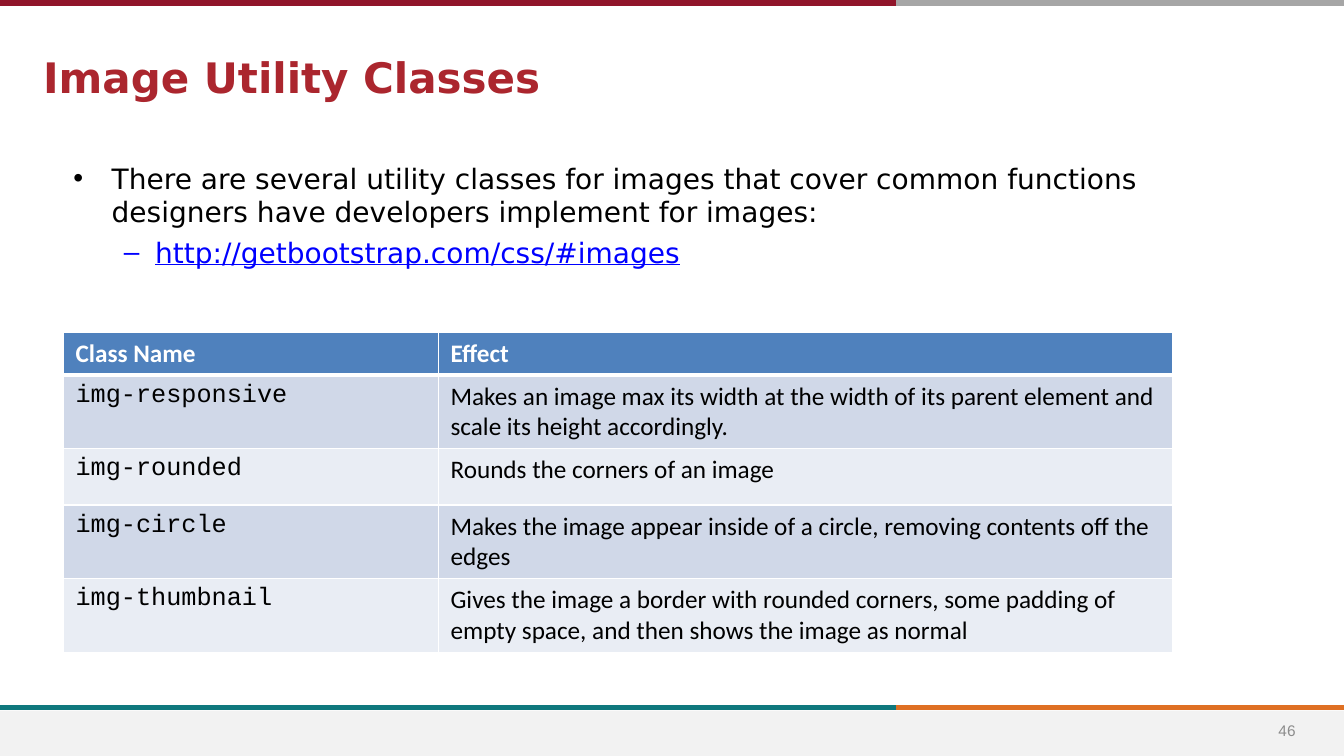
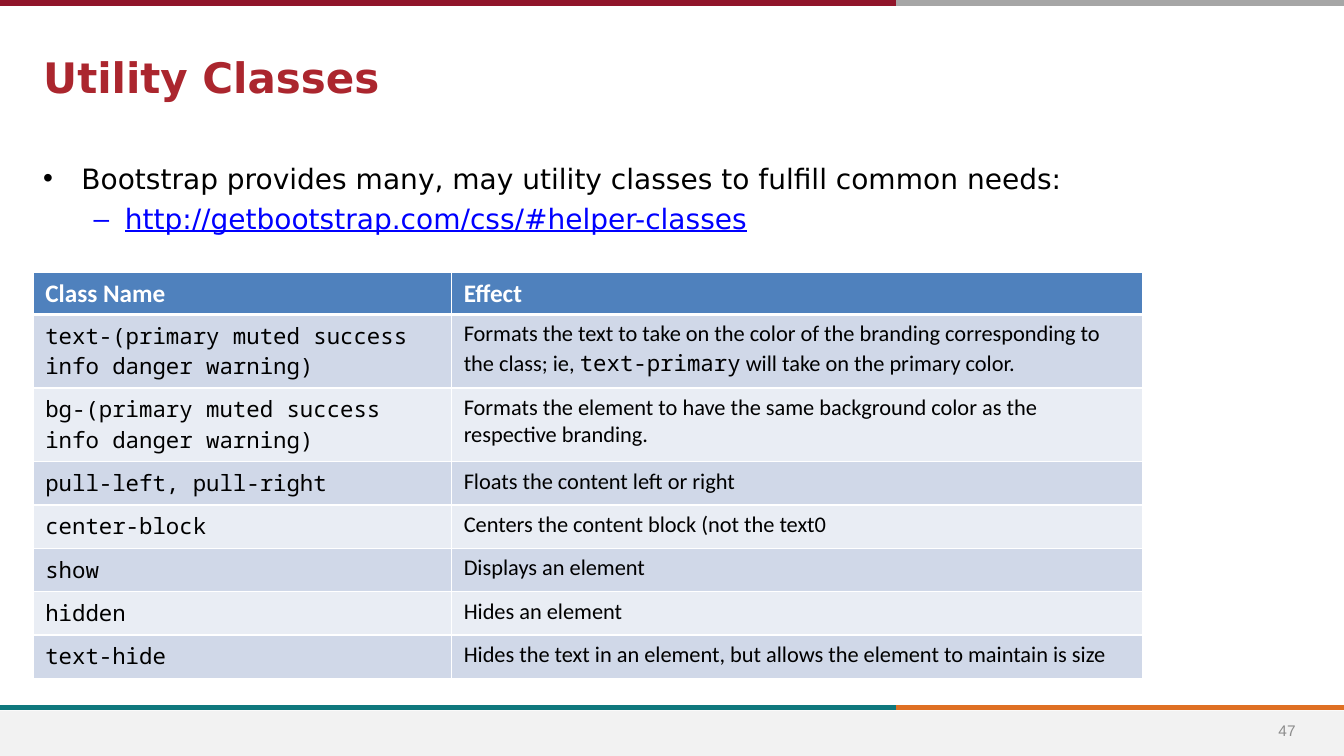
from pptx import Presentation
from pptx.dml.color import RGBColor
from pptx.enum.shapes import MSO_CONNECTOR, MSO_SHAPE
from pptx.enum.text import MSO_ANCHOR, PP_ALIGN
from pptx.oxml.ns import qn
from pptx.util import Inches, Pt
from lxml.etree import SubElement

WIDTH, HEIGHT = 13.33, 7.5
BAND_SPLIT = 8.89
FOOTER_TOP = 7.05

WHITE = RGBColor(0xFF, 0xFF, 0xFF)
BLACK = RGBColor(0x00, 0x00, 0x00)
CRIMSON = RGBColor(0x90, 0x15, 0x2A)
TITLE_RED = RGBColor(0xAB, 0x26, 0x2E)
TEAL = RGBColor(0x0F, 0x78, 0x7D)
ORANGE = RGBColor(0xDF, 0x70, 0x23)
BAND_GRAY = RGBColor(0xA6, 0xA6, 0xA6)
FOOTER_GRAY = RGBColor(0xF2, 0xF2, 0xF2)
NUMBER_GRAY = RGBColor(0x8C, 0x8C, 0x8C)
LINK_BLUE = RGBColor(0x00, 0x00, 0xFF)
HEADER_BLUE = RGBColor(0x4F, 0x81, 0xBD)
ROW_FILLS = (RGBColor(0xD0, 0xD8, 0xE8), RGBColor(0xE9, 0xED, 0xF4))

TEXT_FONT = "DejaVu Sans"
TABLE_FONT = "Calibri"


def add_run(paragraph, text, font_name, size, color, bold=False, underline=False):
    run = paragraph.add_run()
    run.text = text
    font = run.font
    font.name = font_name
    font.size = Pt(size)
    font.color.rgb = color
    font.bold = bold
    font.underline = underline


def add_text_frame(slide, left, top, width, height):
    box = slide.shapes.add_textbox(
        Inches(left), Inches(top), Inches(width), Inches(height))
    box.text_frame.word_wrap = True
    return box.text_frame


def add_rule(slide, start, end, y, color):
    rule = slide.shapes.add_connector(
        MSO_CONNECTOR.STRAIGHT, Inches(start), Inches(y), Inches(end), Inches(y))
    rule.line.color.rgb = color
    rule.line.width = Pt(4)
    SubElement(rule._element.spPr, qn("a:effectLst"))


def add_band(slide, y, left_color, right_color):
    add_rule(slide, BAND_SPLIT, WIDTH, y, right_color)
    add_rule(slide, 0, BAND_SPLIT, y, left_color)


def add_frame(slide, number):
    footer = slide.shapes.add_shape(
        MSO_SHAPE.RECTANGLE, 0, Inches(FOOTER_TOP),
        Inches(WIDTH), Inches(HEIGHT - FOOTER_TOP))
    footer.shadow.inherit = False
    footer.fill.solid()
    footer.fill.fore_color.rgb = FOOTER_GRAY
    footer.line.fill.background()
    add_band(slide, FOOTER_TOP - 0.03, TEAL, ORANGE)
    add_band(slide, 0.03, CRIMSON, BAND_GRAY)
    text_frame = add_text_frame(slide, 12.42, FOOTER_TOP, 0.69, 0.4)
    text_frame.vertical_anchor = MSO_ANCHOR.MIDDLE
    paragraph = text_frame.paragraphs[0]
    paragraph.alignment = PP_ALIGN.CENTER
    add_run(paragraph, str(number), "Arial", 11, NUMBER_GRAY)


def add_title(slide, title):
    text_frame = add_text_frame(slide, 0.33, 0.46, 10.74, 0.59)
    add_run(text_frame.paragraphs[0], title, TEXT_FONT, 30, TITLE_RED, bold=True)


def set_bullet(paragraph, character, margin, hanging):
    properties = paragraph._p.get_or_add_pPr()
    properties.set("marL", str(Inches(margin)))
    properties.set("indent", str(-Inches(hanging)))
    SubElement(properties, qn("a:buFont"), typeface="Arial")
    SubElement(properties, qn("a:buChar"), char=character)


def add_intro(slide, left, top, statement, address):
    text_frame = add_text_frame(slide, left, top, 11, 1.2)
    paragraph = text_frame.paragraphs[0]
    set_bullet(paragraph, "•", 0.38, 0.38)
    add_run(paragraph, statement, TEXT_FONT, 20, BLACK)
    paragraph = text_frame.add_paragraph()
    set_bullet(paragraph, "–", 0.81, 0.31)
    paragraph.level = 1
    paragraph.space_before = Pt(5)
    add_run(paragraph, address, TEXT_FONT, 20, LINK_BLUE, underline=True)


def set_borders(cell, top_width, bottom_width):
    properties = cell._tc.get_or_add_tcPr()
    widths = {"lnL": 1, "lnR": 1, "lnT": top_width, "lnB": bottom_width}
    for side, width in widths.items():
        line = SubElement(properties, qn(f"a:{side}"), w=str(Pt(width)))
        fill = SubElement(line, qn("a:solidFill"))
        SubElement(fill, qn("a:srgbClr"), val=str(WHITE))


def fill_cell(cell, runs, size, text_color, fill_color, bold):
    cell.margin_left = cell.margin_right = Inches(0.12)
    cell.margin_top = cell.margin_bottom = Inches(0.06)
    cell.fill.solid()
    cell.fill.fore_color.rgb = fill_color
    paragraph = cell.text_frame.paragraphs[0]
    for text, font_name in runs:
        add_run(paragraph, text, font_name, size, text_color, bold)


def add_class_table(slide, left, top, column_widths, row_heights, rows, size, code_font):
    table = slide.shapes.add_table(
        len(rows) + 1, 2, Inches(left), Inches(top),
        Inches(sum(column_widths)), Inches(sum(row_heights))).table
    for column, width in zip(table.columns, column_widths):
        column.width = Inches(width)
    for row, height in zip(table.rows, row_heights):
        row.height = Inches(height)
    for index, heading in enumerate(("Class Name", "Effect")):
        cell = table.cell(0, index)
        set_borders(cell, 1, 3)
        fill_cell(cell, [(heading, TABLE_FONT)], 18, WHITE, HEADER_BLUE, True)
    for index, (class_name, *effect) in enumerate(rows):
        effect_runs = [(text, code_font if position % 2 else TABLE_FONT)
                       for position, text in enumerate(effect)]
        for column, runs in enumerate(([(class_name, code_font)], effect_runs)):
            cell = table.cell(index + 1, column)
            set_borders(cell, 1 if index else 3, 1)
            fill_cell(cell, runs, size, BLACK, ROW_FILLS[index % 2], False)


def add_class_slide(presentation, number, title, left, statement, address, table_top, **table):
    slide = presentation.slides.add_slide(presentation.slide_layouts[6])
    add_frame(slide, number)
    add_title(slide, title)
    add_intro(slide, left, 1.55, statement, address)
    add_class_table(slide, left, table_top, **table)


IMAGE_CLASSES = [
    ("img-responsive", "Makes an image max its width at the width of its parent "
     "element and scale its height accordingly."),
    ("img-rounded", "Rounds the corners of an image"),
    ("img-circle", "Makes the image appear inside of a circle, removing contents "
     "off the edges"),
    ("img-thumbnail", "Gives the image a border with rounded corners, some padding "
     "of empty space, and then shows the image as normal"),
]

HELPER_CLASSES = [
    ("text-(primary muted success info danger warning)",
     "Formats the text to take on the color of the branding corresponding to "
     "the class; ie, ", "text-primary", " will take on the primary color."),
    ("bg-(primary muted success info danger warning)",
     "Formats the element to have the same background color as the respective "
     "branding."),
    ("pull-left, pull-right", "Floats the content left or right"),
    ("center-block", "Centers the content block (not the text0"),
    ("show", "Displays an element"),
    ("hidden", "Hides an element"),
    ("text-hide", "Hides the text in an element, but allows the element to "
     "maintain is size"),
]


def main():
    presentation = Presentation()
    presentation.slide_width = Inches(WIDTH)
    presentation.slide_height = Inches(HEIGHT)
    add_class_slide(
        presentation, 46, "Image Utility Classes", 0.63,
        "There are several utility classes for images that cover common functions "
        "designers have developers implement for images:",
        "http://getbootstrap.com/css/#images", 3.3,
        column_widths=(3.72, 7.28), row_heights=(0.42, 0.73, 0.56, 0.73, 0.73),
        rows=IMAGE_CLASSES, size=18, code_font="Courier New")
    add_class_slide(
        presentation, 47, "Utility Classes", 0.33,
        "Bootstrap provides many, may utility classes to fulfill common needs:",
        "http://getbootstrap.com/css/#helper-classes", 2.7,
        column_widths=(4.15, 6.85), row_heights=(0.42, 0.73, 0.73) + (0.43,) * 5,
        rows=HELPER_CLASSES, size=16, code_font="Noto Sans Mono")
    presentation.save("out.pptx")


if __name__ == "__main__":
    main()
